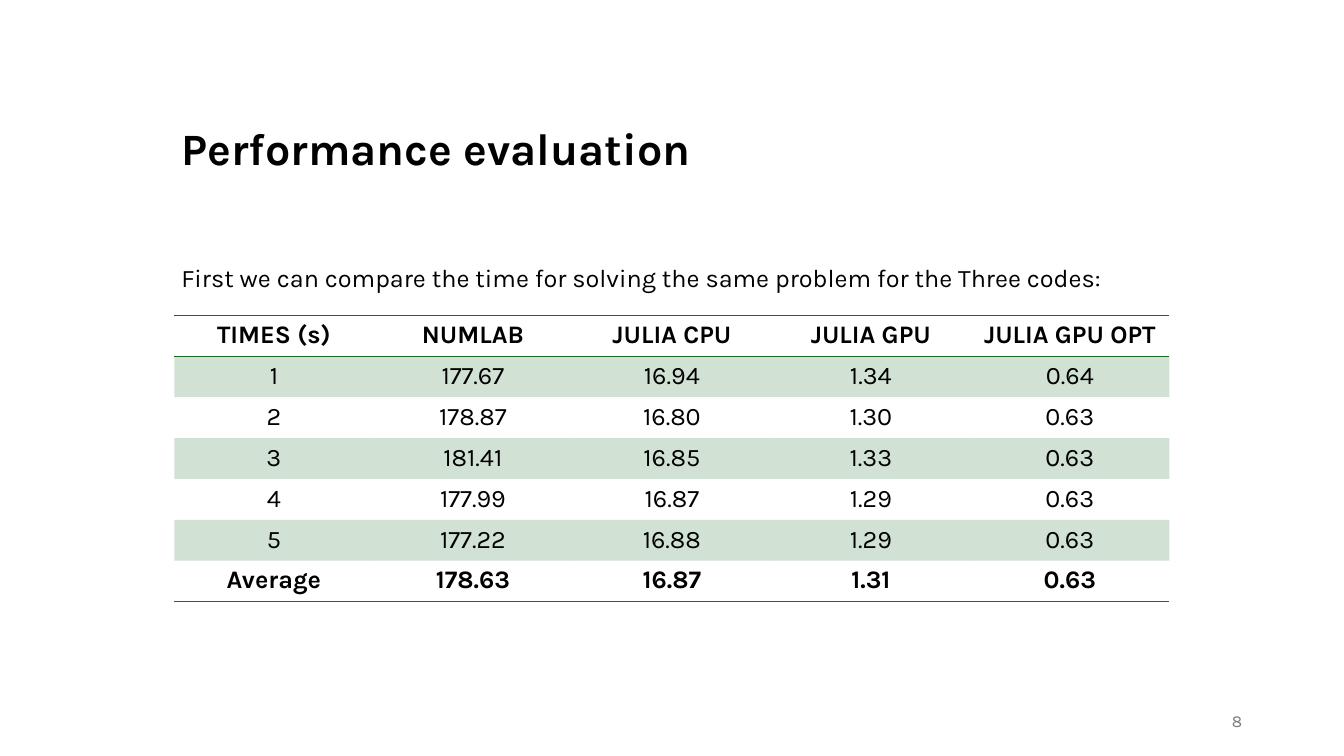
from pptx import Presentation
from pptx.dml.color import RGBColor
from pptx.enum.text import MSO_ANCHOR as Anchor, MSO_AUTO_SIZE as AutoSize, PP_ALIGN as Align
from pptx.oxml import parse_xml
from pptx.oxml.ns import nsdecls, qn
from pptx.util import Inches, Pt

BLACK = RGBColor(0x00, 0x00, 0x00)
GRAY = RGBColor(0x79, 0x79, 0x79)
GREEN = RGBColor(0x19, 0x6B, 0x24)
PLAIN_TABLE_STYLE = "{2D5ABB26-0587-4C30-8999-92F81FD0307C}"

TIMES = [
    ["TIMES (s)", "NUMLAB", "JULIA CPU", "JULIA GPU", "JULIA GPU OPT"],
    ["1", "177.67", "16.94", "1.34", "0.64"],
    ["2", "178.87", "16.80", "1.30", "0.63"],
    ["3", "181.41", "16.85", "1.33", "0.63"],
    ["4", "177.99", "16.87", "1.29", "0.63"],
    ["5", "177.22", "16.88", "1.29", "0.63"],
    ["Average", "178.63", "16.87", "1.31", "0.63"],
]


def write(frame, text, size, align=Align.LEFT, color=BLACK, bold=False):
    para = frame.paragraphs[0]
    para.alignment = align
    span = para.add_run()
    span.text = text
    span.font.color.rgb = color
    for name, value in {"name": "Karla", "size": Pt(size), "bold": bold}.items():
        setattr(span.font, name, value)


def add_borders(cell, sides):
    properties = cell._tc.get_or_add_tcPr()
    for position, side in enumerate(sides):
        properties.insert(position, parse_xml(
            f'<a:{side} {nsdecls("a")} w="{Pt(1)}"><a:solidFill>'
            f'<a:srgbClr val="{GREEN}"/></a:solidFill></a:{side}>'))


deck = Presentation()
deck.slide_width, deck.slide_height = Inches(13.33), Inches(7.5)
page = deck.slides.add_slide(deck.slide_layouts[5])

# Title
title = page.shapes.title
title.left, title.top = Inches(1.7), Inches(1.15)
title.width, title.height = Inches(7.79), Inches(0.64)
write(title.text_frame, "Performance evaluation", 32, bold=True)

# Introduction and page number
intro = page.shapes.add_textbox(Inches(1.7), Inches(2.55), Inches(10.06), Inches(0.4))
write(intro.text_frame,
      "First we can compare the time for solving the same problem for the Three codes:", 18)
number = page.shapes.add_textbox(Inches(9.42), Inches(6.95), Inches(3), Inches(0.4))
write(number.text_frame, "8", 12, Align.RIGHT, GRAY)

for box, anchor in [(title, Anchor.TOP), (intro, Anchor.TOP), (number, Anchor.MIDDLE)]:
    settings = {"word_wrap": True, "auto_size": AutoSize.NONE, "vertical_anchor": anchor}
    for name, value in settings.items():
        setattr(box.text_frame, name, value)

# Table of solving times
last = len(TIMES) - 1
table = page.shapes.add_table(len(TIMES), len(TIMES[0]), Inches(1.73), Inches(3.13),
                              Inches(9.87), Inches(2.84)).table
table.horz_banding = False
table._tbl.tblPr.find(qn("a:tableStyleId")).text = PLAIN_TABLE_STYLE

for row, values in enumerate(TIMES):
    for column, value in enumerate(values):
        cell = table.cell(row, column)
        write(cell.text_frame, value, 18, Align.CENTER, bold=row in (0, last))
        # Odd rows carry a light green band
        if row % 2:
            cell.fill.solid()
            cell.fill.fore_color.rgb = GREEN
            tint = cell._tc.tcPr.find(".//" + qn("a:srgbClr"))
            tint.append(parse_xml(f'<a:alpha {nsdecls("a")} val="20000"/>'))
        else:
            cell.fill.background()
        # Rules frame the header and close the table
        if row == 0:
            add_borders(cell, ["lnT", "lnB"])
        elif row == last:
            add_borders(cell, ["lnB"])

deck.save("out.pptx")
